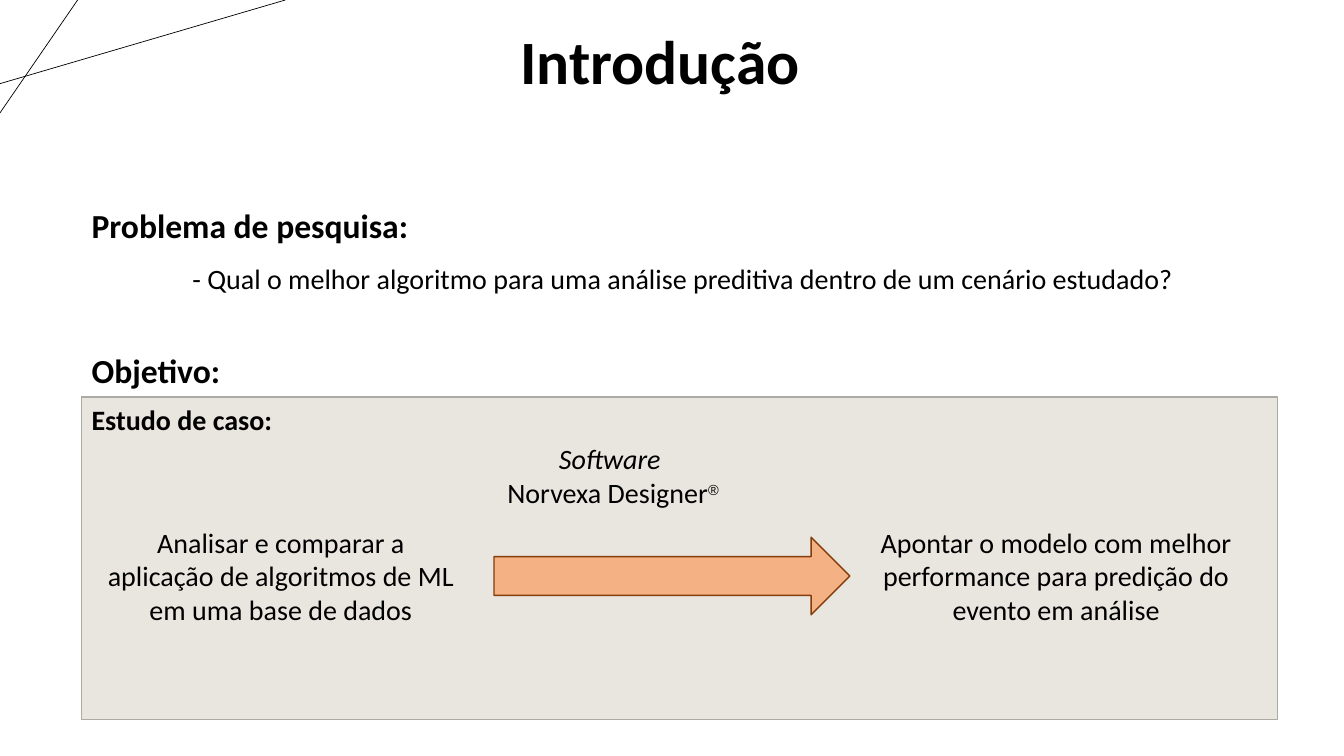
import pptx
import pptx.util
import pptx.dml.color
import pptx.enum.shapes
import pptx.enum.text
import pptx.oxml.ns
import lxml.etree

Inches = pptx.util.Inches
Align = pptx.enum.text.PP_ALIGN
Shape = pptx.enum.shapes.MSO_SHAPE
BLACK = "000000"


def paint(target, color):
    """Give a fill or a font a solid colour from a hex string."""
    if hasattr(target, "solid"):
        target.solid()
        target = target.fore_color
    else:
        target = target.color
    target.rgb = pptx.dml.color.RGBColor.from_string(color)


def add_run(para, text, size, bold=False, italic=False, font="Calibri"):
    """Add one formatted run to a paragraph."""
    run = para.add_run()
    run.text = text
    run.font.size = pptx.util.Pt(size)
    run.font.name = font
    run.font.bold = bold
    run.font.italic = italic
    paint(run.font, BLACK)
    return run


def set_frame(shape):
    """Wrap the text of a shape, keep it at the top and return its frame."""
    frame = shape.text_frame
    frame.word_wrap = True
    frame.auto_size = pptx.enum.text.MSO_AUTO_SIZE.NONE
    frame.vertical_anchor = pptx.enum.text.MSO_ANCHOR.TOP
    return frame


def add_box(slide, left, top, width, height):
    """Add a text box and return its frame."""
    place = [Inches(n) for n in (left, top, width, height)]
    return set_frame(slide.shapes.add_textbox(*place))


def add_label(slide, text, left, top, width, height):
    """Add a centred text of body size."""
    para = add_box(slide, left, top, width, height).paragraphs[0]
    para.alignment = Align.CENTER
    add_run(para, text, 20)


def add_head(slide, text, top, width, height):
    """Add a section heading and return its frame."""
    frame = add_box(slide, 0.81, top, width, height)
    para = frame.paragraphs[0]
    para.alignment = Align.JUSTIFY
    para.line_spacing = 1.5
    add_run(para, text, 24, bold=True)
    return frame


def add_shape(slide, kind, fill, line, left, top, width, height):
    """Add a filled and outlined preset shape."""
    place = [Inches(n) for n in (left, top, width, height)]
    shape = slide.shapes.add_shape(kind, *place)
    shape.shadow.inherit = False
    paint(shape.fill, fill)
    paint(shape.line.fill, line)
    shape.line.width = pptx.util.Pt(1)
    return shape


def add_line(slide, *ends):
    """Add a thin black line between two points."""
    kind = pptx.enum.shapes.MSO_CONNECTOR.STRAIGHT
    line = slide.shapes.add_connector(kind, *[Inches(n) for n in ends])
    paint(line.line.fill, BLACK)
    line.line.width = pptx.util.Pt(0.5)
    tag = pptx.oxml.ns.qn("a:effectLst")
    lxml.etree.SubElement(line._element.spPr, tag)


def add_title(slide, text):
    """Place and fill the title."""
    title = slide.shapes.title
    title.left, title.top = Inches(2.79), Inches(0.18)
    title.width, title.height = Inches(7.52), Inches(0.84)
    para = set_frame(title).paragraphs[0]
    para.alignment = Align.CENTER
    add_run(para, text, 44, bold=True)


def add_topic(slide):
    """Add the research problem and its question."""
    frame = add_head(slide, "Problema de pesquisa:", 1.78, 12.15, 1.16)
    para = frame.add_paragraph()
    para.alignment = Align.JUSTIFY
    para.line_spacing = 1.5
    para._p.get_or_add_pPr().set("indent", str(Inches(1)))
    add_run(para, "- Qual o melhor algoritmo para uma análise preditiva "
            "dentro de um cenário estudado?", 20)


def add_tool(slide):
    """Add the name of the software above the arrow."""
    frame = add_box(slide, 4.82, 4.33, 2.52, 0.77)
    para = frame.paragraphs[0]
    para.alignment = Align.CENTER
    add_run(para, "Software ", 20, italic=True)
    para = frame.add_paragraph()
    para.alignment = Align.CENTER
    add_run(para, "Norvexa Designer", 20)
    mark = add_run(para, "®", 18, font="Arial")
    mark.font._element.set("baseline", "30000")


def add_case(slide):
    """Add the case study panel with its two steps."""
    panel = add_shape(slide, Shape.RECTANGLE, "E9E6DF", "ACAAA5",
                      0.81, 3.94, 11.86, 3.2)
    para = set_frame(panel).paragraphs[0]
    para.alignment = Align.LEFT
    add_run(para, "Estudo de caso:", 20, bold=True)
    add_label(slide, "Analisar e comparar a aplicação de algoritmos de ML "
              "em uma base de dados", 0.94, 5.16, 3.69, 1.11)
    add_shape(slide, Shape.RIGHT_ARROW, "F4B183", "843C0B",
              4.9, 5.33, 3.53, 0.77)
    add_label(slide, "Apontar o modelo com melhor performance para predição "
              "do evento em análise", 8.56, 5.16, 3.83, 1.11)
    add_tool(slide)


def main():
    """Build the slide and save it."""
    deck = pptx.Presentation()
    deck.slide_width, deck.slide_height = Inches(13.33), Inches(7.5)
    slide = deck.slides.add_slide(deck.slide_layouts[5])
    add_line(slide, 0, 0.83, 2.83, 0)
    add_line(slide, 0.77, 0, 0, 1.12)
    add_title(slide, "Introdução")
    add_topic(slide)
    add_head(slide, "Objetivo:", 3.22, 11.7, 0.64)
    add_case(slide)
    deck.save("out.pptx")


if __name__ == "__main__":
    main()
